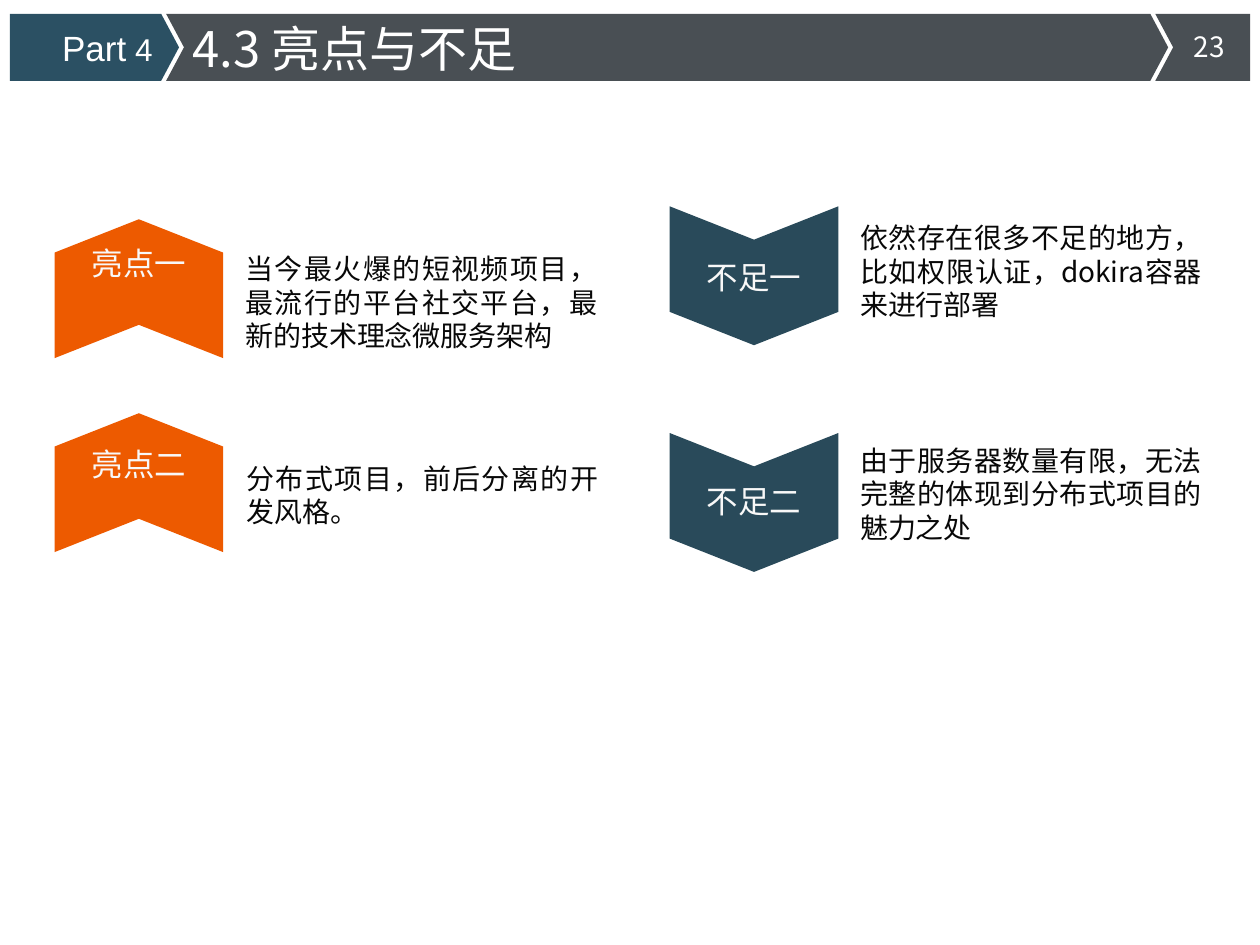
from dataclasses import dataclass

from lxml import etree
from pptx import Presentation
from pptx.dml.color import RGBColor
from pptx.enum.shapes import MSO_SHAPE
from pptx.enum.text import MSO_ANCHOR, MSO_AUTO_SIZE, PP_ALIGN
from pptx.oxml.ns import qn
from pptx.util import Cm, Pt

CHEVRON = MSO_SHAPE.CHEVRON
TOP = MSO_ANCHOR.TOP
NO_FIT = MSO_AUTO_SIZE.NONE
LEFT, CENTER, RIGHT, JUSTIFY = (
    PP_ALIGN.LEFT, PP_ALIGN.CENTER, PP_ALIGN.RIGHT, PP_ALIGN.JUSTIFY)


@dataclass(frozen=True)
class Theme:
    teal: str = "2B5063"
    slate: str = "494F54"
    orange: str = "ED5A00"
    navy: str = "294A5A"
    white: str = "FFFFFF"
    pale: str = "F8F8F8"
    ink: str = "080808"
    font: str = "Noto Sans CJK SC"
    latin: str = "Arial"
    title: int = 28
    chapter: int = 20
    label: int = 18
    body: int = 16


THEME = Theme()

# Shared measures, in cm
BAR_TOP, BAR_HIGH, BAR_TIP = 0.28, 1.35, 0.36
ARROW_LONG, ARROW_WIDE, ARROW_TIP = 2.8, 3.4, 0.24
LABEL_WIDE, LABEL_HIGH = 2.41, 1.02

# Label, arrow middle y, label top, note left, note top, note height, note
PROS = [
    ("亮点一", 5.82, 4.8, 4.7, 4.95, 2.29,
     "当今最火爆的短视频项目，最流行的平台社交平台，最新的技术理念微服务架构"),
    ("亮点二", 9.73, 8.84, 4.72, 9.17, 1.63,
     "分布式项目，前后分离的开发风格。"),
]
CONS = [
    ("不足一", 5.56, 5.08, 17.09, 4.32, 2.29,
     "依然存在很多不足的地方，比如权限认证，dokira容器来进行部署"),
    ("不足二", 10.13, 9.6, 17.09, 8.81, 2.29,
     "由于服务器数量有限，无法完整的体现到分布式项目的魅力之处"),
]


def paint(shape, color):
    shape.fill.solid()
    shape.fill.fore_color.rgb = RGBColor.from_string(color)
    shape.line.fill.background()
    shape.shadow.inherit = False


def style(run, size, color, font=THEME.font):
    """Format a run, giving Latin and East Asian text the same font."""
    run.font.size = Pt(size)
    run.font.color.rgb = RGBColor.from_string(color)
    run.font.name = font
    east = etree.SubElement(run.font._element, qn("a:ea"))
    east.set("typeface", font)


def write(shape, text, size, color, align, wrap=True, font=THEME.font):
    frame = shape.text_frame
    frame.text = text
    frame.word_wrap = wrap
    frame.auto_size = NO_FIT
    frame.vertical_anchor = TOP
    line = frame.paragraphs[0]
    line.alignment = align
    style(line.runs[0], size, color, font)


def add_text(slide, box, *args, **kwargs):
    shape = slide.shapes.add_textbox(*map(Cm, box))
    write(shape, *args, **kwargs)
    return shape


def add_bar(slide, left, right, color, notch=0, tip=0):
    """Draw a header band with an optional notch at left and tip at right."""
    mid, low = BAR_TOP + BAR_HIGH / 2, BAR_TOP + BAR_HIGH
    points = [(right - tip, BAR_TOP), (right, mid), (right - tip, low),
              (left, low), (left + notch, mid)]
    pen = slide.shapes.build_freeform(Cm(left), Cm(BAR_TOP))
    pen.add_line_segments([(Cm(x), Cm(y)) for x, y in points], close=True)
    paint(pen.convert_to_shape(), color)


def add_title(slide, text):
    title = slide.shapes.title
    title.left, title.top, title.width, title.height = map(
        Cm, (3.63, 0.25, 7.32, 1.45))
    write(title, text, THEME.title, THEME.white, LEFT, wrap=False)
    title.element.getparent().append(title.element)  # in front of the bars


def add_header(slide):
    add_bar(slide, 0.2, 3.61, THEME.teal, tip=BAR_TIP)
    add_bar(slide, 3.35, 23.55, THEME.slate, notch=BAR_TIP, tip=BAR_TIP)
    add_bar(slide, 23.29, 25.2, THEME.slate, notch=BAR_TIP)
    add_text(slide, (23.7, 0.48, 1.35, 1.07), "23",
             THEME.body, THEME.white, CENTER)
    add_title(slide, "4.3 亮点与不足")
    chapter = add_text(slide, (0.38, 0.41, 2.95, 1.12), "Part",
                       THEME.chapter, THEME.white, RIGHT, font=THEME.latin)
    number = chapter.text_frame.paragraphs[0].add_run()
    number.text = " 4"
    style(number, THEME.label, THEME.white, THEME.latin)


def add_arrow(slide, x, y, turn, color):
    """Draw a chevron centred on x, y and turned up or down."""
    arrow = slide.shapes.add_shape(
        CHEVRON, Cm(x - ARROW_LONG / 2), Cm(y - ARROW_WIDE / 2),
        Cm(ARROW_LONG), Cm(ARROW_WIDE))
    arrow.adjustments[0] = ARROW_TIP
    arrow.rotation = turn
    paint(arrow, color)


def add_column(slide, items, x, turn, color, wide):
    for label, mid, label_top, left, top, high, note in items:
        add_arrow(slide, x, mid, turn, color)
        add_text(slide, (x - LABEL_WIDE / 2, label_top, LABEL_WIDE, LABEL_HIGH),
                 label, THEME.label, THEME.pale, CENTER, wrap=False)
        add_text(slide, (left, top, wide, high),
                 note, THEME.body, THEME.ink, JUSTIFY)


def main():
    deck = Presentation()
    deck.slide_width, deck.slide_height = Cm(25.4), Cm(19.05)
    slide = deck.slides.add_slide(deck.slide_layouts[5])
    add_header(slide)
    add_column(slide, PROS, 2.8, 270, THEME.orange, 7.6)
    add_column(slide, CONS, 15.2, 90, THEME.navy, 7.39)
    deck.save("out.pptx")


if __name__ == "__main__":
    main()
